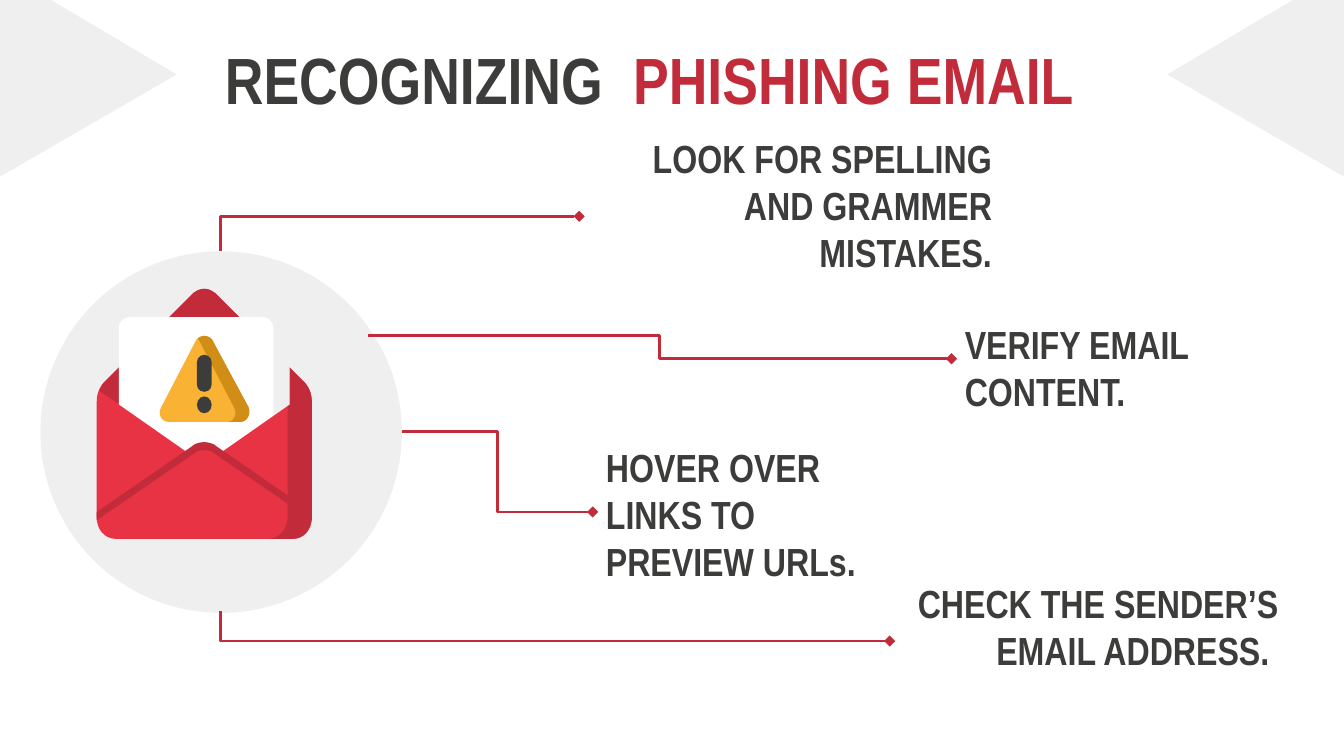
import pptx
import pptx.dml.color
import pptx.enum.shapes
import pptx.enum.text
import pptx.oxml.ns
import pptx.util
from lxml import etree

SHAPE = pptx.enum.shapes.MSO_SHAPE
ANCHOR = pptx.enum.text.MSO_ANCHOR
ALIGN = pptx.enum.text.PP_ALIGN
qn = pptx.oxml.ns.qn

# The grid: square cells, a tenth of an inch each, on a 16:9 slide
COLUMNS, ROWS = 100, 56.25
CELL = 0.1

FONT = "Arial Narrow"
DARK, CRIMSON, RED = "3C3C3B", "C22B3A", "E83345"
AMBER, OCHRE, WHITE, GREY = "F9B233", "D18E17", "FFFFFF", "878787"
FAINT = 13  # opacity of the grey areas, in percent
AXIS = 15.2  # column on which the envelope is centred


def grid(cells):
    return pptx.util.Inches(cells * CELL)


def color(target, hex_color, opacity=100):
    """Colour a fill, or a font or line through its fill."""
    target.solid()
    target.fore_color.rgb = pptx.dml.color.RGBColor.from_string(hex_color)
    if opacity < 100:
        clr = target._xPr.find(qn("a:solidFill"))[0]
        etree.SubElement(clr, qn("a:alpha")).set("val", str(opacity * 1000))


def paint(shape, hex_color, opacity=100):
    color(shape.fill, hex_color, opacity)
    shape.line.fill.background()
    shape.shadow.inherit = False
    return shape


def add_preset(shapes, preset, box, hex_color, opacity=100):
    shape = shapes.add_shape(preset, *map(grid, box))
    return paint(shape, hex_color, opacity)


def trace(steps, samples=8):
    """Turn points and cubic curves (six numbers) into a list of points."""
    points = []
    for step in steps:
        if len(step) == 2:
            points.append(step)
            continue
        corners = [points[-1], step[:2], step[2:4], step[4:]]
        for index in range(1, samples + 1):
            t = index / samples
            weights = ((1 - t) ** 3, 3 * t * (1 - t) ** 2, 3 * t * t * (1 - t), t ** 3)
            points.append(tuple(
                sum(weight * corner[axis] for weight, corner in zip(weights, corners))
                for axis in (0, 1)))
    return points


def mirror(points, axis):
    return [(2 * axis - x, y) for x, y in points]


def add_outline(shapes, points, hex_color, opacity=100):
    corners = [(grid(x), grid(y)) for x, y in points]
    builder = shapes.build_freeform(*corners[0])
    builder.add_line_segments(corners[1:], close=True)
    return paint(builder.convert_to_shape(), hex_color, opacity)


def add_symmetric(shapes, left_steps, hex_color):
    """Draw an outline from its left half, given from top to bottom."""
    left = trace(left_steps)
    return add_outline(shapes, left + mirror(left, AXIS)[::-1], hex_color)


def add_text(slide, box, runs, size=21, align=ALIGN.LEFT, anchor=ANCHOR.BOTTOM):
    """Add a text box; each run is (text, colour, letter spacing in points)."""
    frame = slide.shapes.add_textbox(*map(grid, box)).text_frame
    frame.word_wrap = True
    frame.vertical_anchor = anchor
    frame.margin_left = frame.margin_right = grid(1)
    frame.margin_top = frame.margin_bottom = grid(1)
    paragraph = frame.paragraphs[0]
    paragraph.alignment = align
    for text, hex_color, spacing in runs:
        run = paragraph.add_run()
        run.text = text
        run.font.name = FONT
        run.font.size = pptx.util.Pt(size)
        run.font.bold = True
        color(run.font.fill, hex_color)
        if spacing:
            run.font._element.set("spc", str(spacing * 100))


def add_pointer(slide, label_point, circle_point, preset):
    """Run an elbow line from a label, marked by a diamond, to the circle."""
    connector = slide.shapes.add_connector(
        pptx.enum.shapes.MSO_CONNECTOR.ELBOW, *map(grid, label_point + circle_point))
    color(connector.line.fill, CRIMSON)
    connector.line.width = pptx.util.Pt(1.5)
    properties = connector._element.spPr
    properties.find(qn("a:prstGeom")).set("prst", preset)
    head = etree.SubElement(properties.find(qn("a:ln")), qn("a:headEnd"))
    head.set("type", "diamond")
    etree.SubElement(properties, qn("a:effectLst"))


def add_corners(slide):
    left = [(0, 13.15), (13.15, 5.55), (3.8, 0), (0, 0)]
    for points in (mirror(left, COLUMNS / 2), left):
        add_outline(slide.shapes, points, GREY, FAINT)


def add_envelope(slide):
    shapes = slide.shapes.add_group_shape().shapes
    peak = [(AXIS, 21.5), (14.9, 21.5, 14.7, 21.6, 14.4, 21.8), (7.8, 28.4)]

    # Body, shaded right side and open flap
    add_symmetric(shapes, peak + [
        (7.4, 28.8, 7.2, 29.3, 7.2, 29.9), (7.2, 38.5),
        (7.2, 39.4, 7.8, 40.1, 8.6, 40.1)], RED)
    add_outline(shapes, trace([
        (20.7, 28.4), (21.1, 28.8, 21.4, 29.3, 21.4, 29.9), (21.4, 38.5),
        (21.4, 39.4, 20.7, 40.1, 20, 40.1), (21.8, 40.1),
        (22.6, 40.1, 23.2, 39.4, 23.2, 38.5), (23.2, 29.9),
        (23.2, 29.3, 23, 28.8, 22.6, 28.4)]), CRIMSON)
    add_symmetric(shapes, peak + [
        (7.6, 28.6, 7.5, 28.8, 7.4, 29.1), (8.9, 30.1), (14, 32.8), (14.4, 32.6),
        (14.6, 32.4, 14.9, 32.3, AXIS, 32.3)], CRIMSON)

    # Letter and its shaded edge
    add_symmetric(shapes, [
        (AXIS, 23.6), (9.7, 23.6), (9.2, 23.6, 8.85, 24, 8.85, 24.4), (8.85, 30.1),
        (14, 33.7), (14.4, 33.4), (14.6, 33.3, 14.9, 33.2, AXIS, 33.2)], WHITE)
    add_outline(shapes, trace([
        (19.6, 23.6), (20, 23.6, 20.35, 24, 20.35, 24.4), (20.35, 31), (21.55, 30.1),
        (21.55, 24.4), (21.55, 24, 21.2, 23.6, 20.7, 23.6)]), GREY, FAINT)

    # Warning sign
    add_symmetric(shapes, [
        (AXIS, 25), (15, 25, 14.8, 25.1, 14.6, 25.3), (12, 30.3),
        (11.7, 30.8, 12, 31.4, 12.6, 31.4)], AMBER)
    add_outline(shapes, trace([
        (AXIS, 25), (15, 25, 14.8, 25.1, 14.7, 25.2), (14.8, 25.3), (17.4, 30.3),
        (17.7, 30.8, 17.4, 31.4, 16.9, 31.4), (17.9, 31.4),
        (18.4, 31.4, 18.7, 30.8, 18.5, 30.3), (15.8, 25.3),
        (15.7, 25.1, 15.4, 25, AXIS, 25)]), OCHRE)
    bar = add_preset(shapes, SHAPE.ROUNDED_RECTANGLE, (14.65, 26.4, 1.1, 2.75), DARK)
    bar.adjustments[0] = 0.5
    add_preset(shapes, SHAPE.OVAL, (14.65, 29.5, 1.1, 1.25), DARK)

    # Fold across the front
    add_symmetric(shapes, [
        (AXIS, 32.9), (14.9, 32.9, 14.5, 33, 14.3, 33.2), (7.2, 38.1), (7.2, 38.7),
        (14.5, 33.7), (14.7, 33.5, 15, 33.5, AXIS, 33.5)], CRIMSON)


def main():
    presentation = pptx.Presentation()
    presentation.slide_width = grid(COLUMNS)
    presentation.slide_height = grid(ROWS)
    slide = presentation.slides.add_slide(presentation.slide_layouts[6])

    # Background and title
    add_corners(slide)
    add_preset(slide.shapes, SHAPE.OVAL, (3, 18.7, 26.9, 26.9), GREY, FAINT)
    add_text(slide, (15.75, 1.9, 84.25, 6.3), [
        ("RECOGNIZING", DARK, 0), (" ", DARK, 8), ("PHISHING EMAIL", CRIMSON, 0),
    ], size=35, anchor=ANCHOR.TOP)

    # Advice: text, box, alignment, row of the pointer, its end and its form
    advice = [
        ("VERIFY EMAIL CONTENT.", (70.8, 21.6, 25.5, 10.2), ALIGN.LEFT,
         26.7, (27.4, 25), "bentConnector3"),
        ("HOVER OVER LINKS TO PREVIEW URLs.", (44.1, 31.8, 22.1, 12.7), ALIGN.LEFT,
         38.1, (29.9, 32.1), "bentConnector3"),
        ("CHECK THE SENDER’S EMAIL ADDRESS. ", (66.2, 42.6, 29.9, 8.5), ALIGN.RIGHT,
         47.7, (16.4, 45.5), "bentConnector2"),
        ("LOOK FOR SPELLING AND GRAMMER MISTAKES.", (43.1, 10.7, 31.7, 10.8),
         ALIGN.RIGHT, 16.1, (16.4, 18.7), "bentConnector2"),
    ]
    for text, box, align, row, end, preset in advice:
        add_text(slide, box, [(text, DARK, 0)], align=align)
        add_pointer(slide, (box[0], row), end, preset)

    add_envelope(slide)
    presentation.save("out.pptx")


if __name__ == "__main__":
    main()
